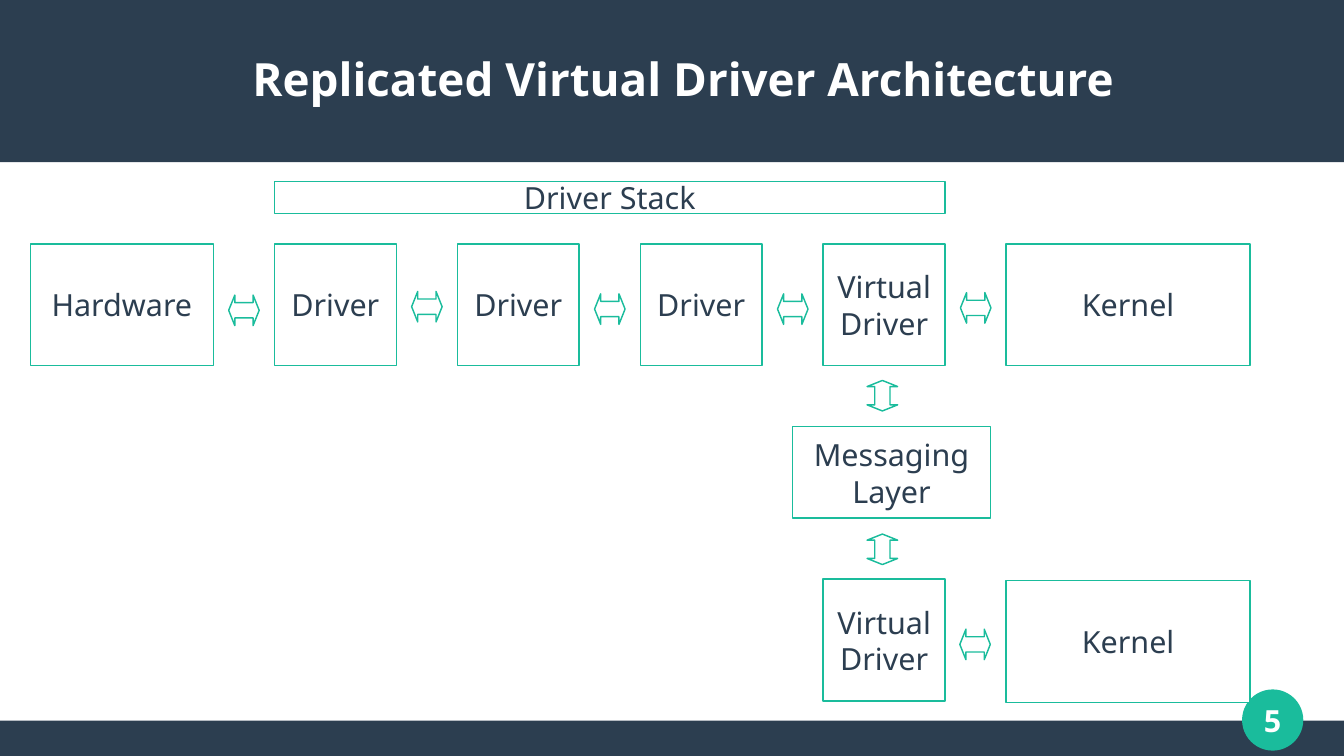
import pptx
import pptx.util
import pptx.dml.color
import pptx.enum.shapes
import pptx.enum.text

Inches = pptx.util.Inches
Pt = pptx.util.Pt
RGBColor = pptx.dml.color.RGBColor
SHAPE = pptx.enum.shapes.MSO_SHAPE

NAVY = RGBColor(0x2C, 0x3E, 0x50)
TEAL = RGBColor(0x1A, 0xBC, 0x9C)
WHITE = RGBColor(0xFF, 0xFF, 0xFF)

# Content
HEADING = "Replicated Virtual Driver Architecture"
PAGE = "5"
STAGES = [("Hardware", 1.5), ("Driver", 1), ("Driver", 1), ("Driver", 1),
          ("Virtual\nDriver", 1), ("Kernel", 2)]  # label, width
STAGE_ARROW_TOPS = [2.42, 2.39, 2.41, 2.41, 2.4]
OTHER_BOXES = [  # label, left, top, width, height
    ("Kernel", 8.25, 4.76, 2, 1),
    ("Virtual\nDriver", 6.75, 4.75, 1, 1),
    ("Driver Stack", 2.25, 1.49, 5.5, 0.26),
    ("Messaging\nLayer", 6.5, 3.5, 1.62, 0.75),
]
MESSAGE_ARROW_LEFT = 7.11
MESSAGE_ARROW_TOPS = [3.12, 4.38]
REPLICA_ARROW = (7.87, 5.16)

# Measures
SLIDE_W, SLIDE_H = 11.02, 6.2
ROW_LEFT, ROW_TOP, ROW_HEIGHT, GAP = 0.25, 2, 1, 0.5
ARROW = 0.25
BODY_FONT = {"name": "Noto Sans", "size": Pt(18), "bold": False}
BOLD_FONT = {"name": "Noto Sans", "size": Pt(18), "bold": True}
TITLE_FONT = {"name": "Noto Sans", "size": Pt(27), "bold": True}

deck = pptx.Presentation()
deck.slide_width, deck.slide_height = Inches(SLIDE_W), Inches(SLIDE_H)
slide = deck.slides.add_slide(deck.slide_layouts[5])


def write(shape, text, font, color, margins=(0, 0)):
    frame = shape.text_frame
    frame.text = text
    side, edge = map(Inches, margins)
    layout = {"word_wrap": False, "margin_left": side, "margin_right": side,
              "margin_top": edge, "margin_bottom": edge,
              "auto_size": pptx.enum.text.MSO_AUTO_SIZE.NONE,
              "vertical_anchor": pptx.enum.text.MSO_ANCHOR.MIDDLE}
    for key, value in layout.items():
        setattr(frame, key, value)
    for paragraph in frame.paragraphs:
        paragraph.alignment = pptx.enum.text.PP_ALIGN.CENTER
        for key, value in font.items():
            setattr(paragraph.font, key, value)
        paragraph.font.color.rgb = color


def draw(kind, left, top, width, height, fill=WHITE, line=TEAL):
    shape = slide.shapes.add_shape(kind, *map(Inches, (left, top, width, height)))
    shape.shadow.inherit = False
    shape.fill.solid()
    shape.fill.fore_color.rgb = fill
    if line is None:
        shape.line.fill.background()
    else:
        shape.line.color.rgb = line
        shape.line.width = Pt(0.85)
    return shape


def box(label, *place):
    write(draw(SHAPE.RECTANGLE, *place), label, BODY_FONT, NAVY, (0.1, 0.05))


def arrow(left, top, rotation=0):
    shape = draw(SHAPE.LEFT_RIGHT_ARROW, left, top, ARROW, ARROW)
    shape.adjustments[0] = 0.5  # shaft thickness
    shape.adjustments[1] = 0.2  # head length
    shape.rotation = rotation


# Bars and page number
draw(SHAPE.RECTANGLE, 0, 5.91, SLIDE_W, 0.29, NAVY, None)
draw(SHAPE.RECTANGLE, 0, 0, SLIDE_W, 1.33, NAVY, None)
badge = draw(SHAPE.OVAL, 10.19, 5.66, 0.49, 0.49, TEAL)
write(badge, PAGE, BOLD_FONT, WHITE)

# Title, in front of the top bar
heading = slide.shapes.title
heading.left, heading.top = Inches(0.48), Inches(0.25)
heading.width, heading.height = Inches(10.24), Inches(0.79)
write(heading, HEADING, TITLE_FONT, WHITE)
slide.shapes.element.append(heading.element)

# Main row, with an arrow centred in each gap
left = ROW_LEFT
for index, (label, width) in enumerate(STAGES):
    box(label, left, ROW_TOP, width, ROW_HEIGHT)
    left += width + GAP
    if index < len(STAGE_ARROW_TOPS):
        arrow(left - (GAP + ARROW) / 2, STAGE_ARROW_TOPS[index])

# Stack label, messaging layer and replica
for label, *place in OTHER_BOXES:
    box(label, *place)
arrow(*REPLICA_ARROW)
for top in MESSAGE_ARROW_TOPS:
    arrow(MESSAGE_ARROW_LEFT, top, rotation=90)

deck.save("out.pptx")
